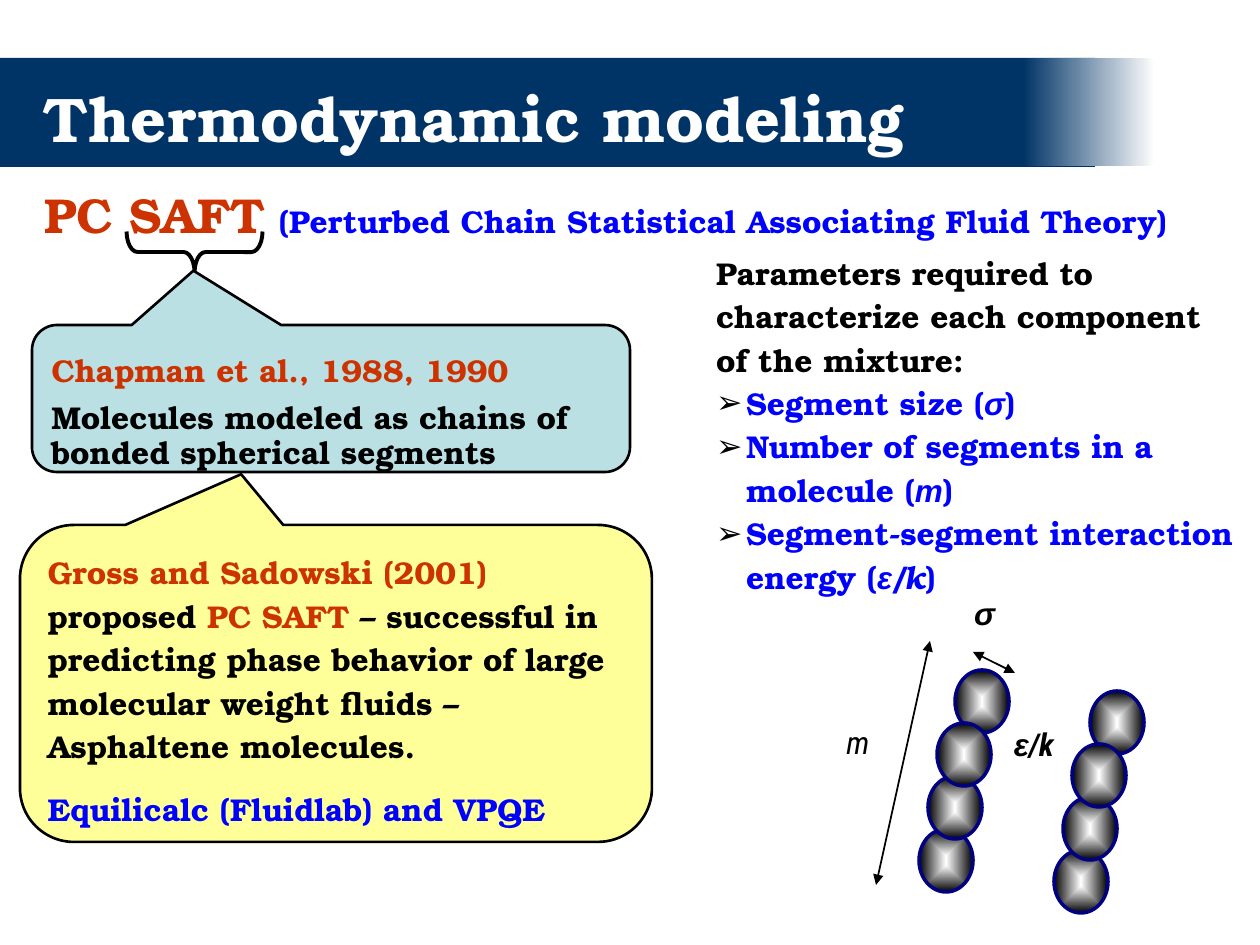
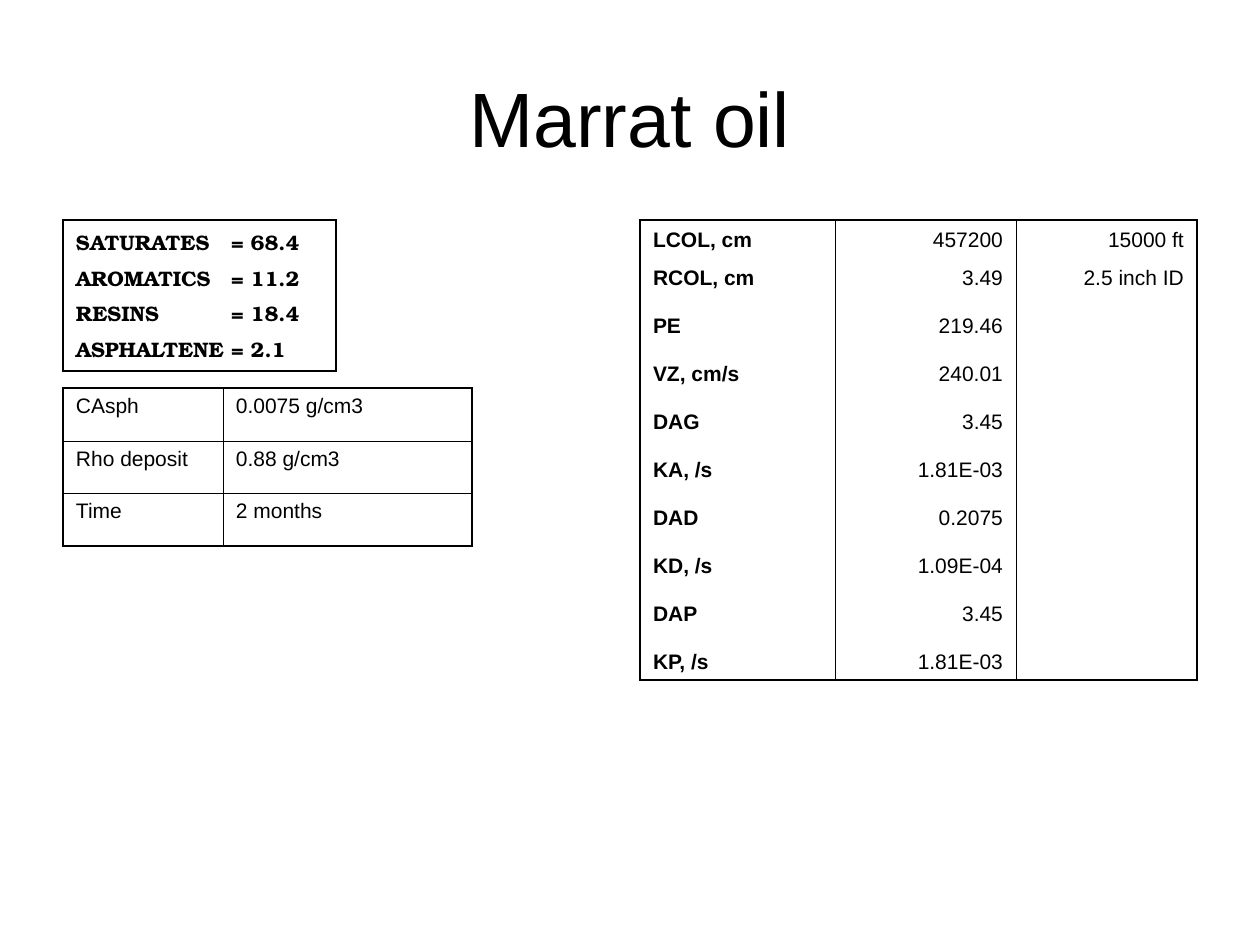
from dataclasses import dataclass

from lxml.etree import SubElement
from pptx import Presentation
from pptx.dml.color import RGBColor as RGB
from pptx.enum.shapes import MSO_CONNECTOR as CONN, MSO_SHAPE as SHAPE
from pptx.enum.text import MSO_ANCHOR as ANCHOR, PP_ALIGN as ALIGN
from pptx.oxml.ns import qn
from pptx.util import Emu, Pt

PX = 914400 / 126


@dataclass(frozen=True)
class Theme:
    navy: str = "003366"
    outline: str = "000080"
    red: str = "CC3300"
    blue: str = "0000FF"
    black: str = "000000"
    white: str = "FFFFFF"
    teal: str = "BBE0E3"
    yellow: str = "FFFF99"
    serif: str = "TeX Gyre Bonum"
    sans: str = "Arial"
    narrow: str = "Roboto Condensed"
    plain_title: int = 44
    band_title: int = 36
    lead: int = 28
    gap: int = 24
    body: int = 18
    cell: int = 12
    frame: float = 1.08
    rule: float = 0.45


T = Theme()
BODY = dict(name=T.serif, size=T.body, bold=True, color=T.black)
RED = BODY | dict(color=T.red)
BLUE = BODY | dict(color=T.blue)
BLUE_ITALIC = BLUE | dict(italic=True)
SYMBOL = dict(name=T.sans, size=T.body, bold=True, italic=True, color=T.black)
BLUE_SYMBOL = SYMBOL | dict(color=T.blue)
CELL = dict(name=T.sans, size=T.cell, bold=False, color=T.black)
CELL_BOLD = CELL | dict(bold=True)
SARA = CELL_BOLD | dict(name=T.serif)


def px(*values):
    return [Emu(round(v * PX)) for v in values]


def set_all(obj, **values):
    for key, value in values.items():
        setattr(obj, key, value)


def add_run(p, text, style):
    r = p.add_run()
    r.text = text
    values = dict(style)
    r.font.color.rgb = RGB.from_string(values.pop("color"))
    set_all(r.font, **values | dict(size=Pt(values["size"])))


def add_bullet(p, char, indent):
    pPr = p._p.get_or_add_pPr()
    pPr.set("marL", str(px(indent)[0]))
    pPr.set("indent", str(px(-indent)[0]))
    color = SubElement(pPr, qn("a:buClr"))
    SubElement(color, qn("a:srgbClr"), val=T.black)
    SubElement(pPr, qn("a:buFont"), typeface=T.sans)
    SubElement(pPr, qn("a:buChar"), char=char)


def add_tab(p, pos):
    tabs = SubElement(p._p.get_or_add_pPr(), qn("a:tabLst"))
    SubElement(tabs, qn("a:tab"), pos=str(px(pos)[0]), algn="l")


def write(tf, paragraphs, insets=(13, 6, 13, 6), wrap=True, anchor=ANCHOR.TOP):
    left, top, right, bottom = px(*insets)
    set_all(tf, word_wrap=wrap, vertical_anchor=anchor, margin_left=left,
            margin_top=top, margin_right=right, margin_bottom=bottom)
    for i, (runs, layout) in enumerate(paragraphs):
        p = tf.paragraphs[0] if i == 0 else tf.add_paragraph()
        values = dict(layout)
        bullet = values.pop("bullet", None)
        set_all(p, **dict(alignment=ALIGN.LEFT) | values)
        if bullet:
            add_bullet(p, bullet, 30)
        for text, style in runs:
            add_run(p, text, style)


def add_text(s, box, paragraphs, **options):
    tf = s.shapes.add_textbox(*px(*box)).text_frame
    write(tf, paragraphs, **options)


def add_label(s, box, text, style):
    add_text(s, box, [([(text, style)], dict(alignment=ALIGN.CENTER))],
             insets=(11, 6, 11, 6), wrap=False)


def add_shape(s, kind, box, fill=None, line=None, width=1.5, adj=()):
    sp = s.shapes.add_shape(kind, *px(*box))
    sp.shadow.inherit = False
    for i, value in enumerate(adj):
        sp.adjustments[i] = value
    if fill:
        sp.fill.solid()
        sp.fill.fore_color.rgb = RGB.from_string(fill)
    else:
        sp.fill.background()
    if line:
        sp.line.color.rgb = RGB.from_string(line)
        sp.line.width = Pt(width)
    else:
        sp.line.fill.background()
    return sp


def set_gradient(sp, start, end, from_center=False):
    sp.fill.gradient()
    sp.fill.gradient_angle = 0
    for stop, color, position in zip(sp.fill.gradient_stops, (start, end), (0, 1)):
        stop.color.rgb = RGB.from_string(color)
        stop.position = position
    if from_center:
        grad = sp._element.spPr.find(qn("a:gradFill"))
        grad.remove(grad.find(qn("a:lin")))
        shade = SubElement(grad, qn("a:path"), path="rect")
        SubElement(shade, qn("a:fillToRect"),
                   **dict.fromkeys("ltrb", "50000"))


def add_title_band(s, title):
    add_shape(s, SHAPE.RECTANGLE, (0, 58, 1095, 109), T.navy)
    fade = add_shape(s, SHAPE.RECTANGLE, (1023, 58, 132, 108), T.navy)
    set_gradient(fade, T.navy, T.white)
    style = BODY | dict(size=T.band_title, color=T.white)
    add_text(s, (31, 74, 1135, 88), [([(title, style)], {})])


def add_callout(s, box, fill, adj, paragraphs, **options):
    sp = add_shape(s, SHAPE.ROUNDED_RECTANGULAR_CALLOUT, box, fill, T.black, adj=adj)
    write(sp.text_frame, paragraphs, **options)


def add_chain(s, x, y):
    shifts = (0, -18, -27, -36)
    for i in (0, 3, 2, 1):
        bead = add_shape(s, SHAPE.OVAL, (x + shifts[i], y + 53 * i, 54, 63),
                         T.white, T.outline, 2)
        set_gradient(bead, T.white, T.black, from_center=True)


def add_double_arrow(s, *ends):
    cx = s.shapes.add_connector(CONN.STRAIGHT, *px(*ends))
    cx.line.color.rgb = RGB.from_string(T.black)
    cx.line.width = Pt(1)
    ln = cx.line._get_or_add_ln()
    for tag in ("a:headEnd", "a:tailEnd"):
        SubElement(ln, qn(tag), type="triangle")
    SubElement(cx._element.spPr, qn("a:effectLst"))


def set_borders(cell, **widths):
    tcPr = cell._tc.get_or_add_tcPr()
    for side in "LRTB":
        width = widths[side]
        ln = SubElement(tcPr, qn("a:ln" + side), w=str(Pt(width)))
        if width:
            fill = SubElement(ln, qn("a:solidFill"))
            SubElement(fill, qn("a:srgbClr"), val=T.black)
        else:
            SubElement(ln, qn("a:noFill"))


def add_table(s, x, y, cols, rows, row_rule=T.rule):
    box = px(x, y, sum(cols), sum(rows))
    table = s.shapes.add_table(len(rows), len(cols), *box).table
    set_all(table, first_row=False, horz_banding=False)
    for col, width in zip(table.columns, px(*cols)):
        col.width = width
    for row, height in zip(table.rows, px(*rows)):
        row.height = height
    last_row, last_col = len(rows) - 1, len(cols) - 1
    for i in range(len(rows)):
        for j in range(len(cols)):
            cell = table.cell(i, j)
            set_borders(cell,
                        L=T.rule if j else T.frame,
                        R=T.rule if j < last_col else T.frame,
                        T=row_rule if i else T.frame,
                        B=row_rule if i < last_row else T.frame)
            cell.fill.background()
    return table


def write_cell(cell, text, style, anchor=ANCHOR.TOP, align=ALIGN.LEFT):
    side, top = px(13, 6)
    set_all(cell, margin_left=side, margin_right=side, margin_top=top,
            margin_bottom=top, vertical_anchor=anchor)
    p = cell.text_frame.paragraphs[0]
    p.alignment = align
    if text:
        add_run(p, text, style)
    else:
        SubElement(p._p, qn("a:endParaRPr"), sz=str(style["size"] * 100))


def add_sara_table(s, fractions):
    cell = add_table(s, 63, 220, [273], [151]).cell(0, 0)
    side, top = px(13, 6)
    set_all(cell, margin_left=side, margin_right=side, margin_top=top,
            margin_bottom=top)
    tf = cell.text_frame
    for i, (name, value) in enumerate(fractions):
        p = tf.paragraphs[0] if i == 0 else tf.add_paragraph()
        if i:
            p.space_before = Pt(3)
        add_tab(p, 155)
        add_run(p, f"{name}\t= {value}", SARA)


def add_deposit_table(s, rows):
    table = add_table(s, 63, 388, [160, 249], [53, 52, 53])
    for i, row in enumerate(rows):
        for j, text in enumerate(row):
            write_cell(table.cell(i, j), text, CELL)


def add_parameter_table(s, rows):
    heights = [38] * 2 + [48] * (len(rows) - 2)
    table = add_table(s, 640, 220, [195, 181, 181], heights, row_rule=0)
    for i, row in enumerate(rows):
        for j, text in enumerate(row):
            write_cell(table.cell(i, j), text, CELL if j else CELL_BOLD,
                       ANCHOR.BOTTOM, ALIGN.RIGHT if j else ALIGN.LEFT)


def build_modeling(s):
    add_title_band(s, "Thermodynamic modeling")
    loose = dict(line_spacing=1.15)
    item = loose | dict(bullet="➢")
    add_text(s, (703, 242, 546, 360), [
        ([("Parameters required to characterize each component of the mixture:", BODY)],
         loose),
        ([("Segment size (", BLUE), ("σ", BLUE_SYMBOL), (")", BLUE)], item),
        ([("Number of segments in a molecule (", BLUE), ("m", BLUE_SYMBOL),
          (")", BLUE)], item),
        ([("Segment-segment interaction energy (", BLUE), ("ε", BLUE_SYMBOL),
          ("/k", BLUE_ITALIC), (")", BLUE)], item),
    ])

    add_chain(s, 955, 670)
    add_chain(s, 1090, 691)
    add_label(s, (963, 588, 42, 49), "σ", SYMBOL)
    add_label(s, (833, 717, 50, 49), "m", SYMBOL | dict(name=T.narrow, bold=False))
    add_double_arrow(s, 930, 641, 876, 885)
    add_double_arrow(s, 973, 652, 1015, 673)
    energy = add_shape(s, SHAPE.RECTANGLE, (1014, 725, 52, 38), T.white)
    write(energy.text_frame,
          [([("ε", SYMBOL), ("/k", SYMBOL | dict(name=T.narrow))], {})],
          insets=(0, 0, 0, 0))

    add_callout(s, (20, 525, 632, 317), T.yellow, (-0.15, -0.66, 0.17), [
        ([("Gross and Sadowski (2001)", RED), (" proposed ", BODY), ("PC SAFT", RED),
          (" – successful in predicting phase behavior of large molecular weight "
           "fluids – Asphaltene molecules.", BODY)], loose),
        ([("Equilicalc (Fluidlab) and VPQE", BLUE)],
         loose | dict(space_before=Pt(11.2))),
    ], insets=(12, 7, 12, 6))
    add_text(s, (31, 179, 1176, 72), [
        ([("PC SAFT", RED | dict(size=T.lead)), (" ", BODY | dict(size=T.gap)),
          ("(Perturbed Chain Statistical Associating Fluid Theory)", BLUE)], {}),
    ])
    brace = add_shape(s, SHAPE.RIGHT_BRACE, (174, 184, 41, 136),
                      line=T.black, width=2.25, adj=(0.27, 0.5))
    brace.rotation = 90
    add_callout(s, (32, 325, 598, 147), T.teal, (-0.23, -0.87, 0.17), [
        ([("Chapman et al., 1988, 1990", RED)], dict(line_spacing=0.6)),
        ([("Molecules modeled as chains of bonded spherical segments", BODY)],
         dict(line_spacing=0.9, space_before=Pt(9))),
    ], insets=(12, 32, 12, 32))


def build_marrat(s):
    add_text(s, (63, 38, 1134, 158),
             [([("Marrat oil", CELL | dict(size=T.plain_title))],
               dict(alignment=ALIGN.CENTER))], anchor=ANCHOR.MIDDLE)
    add_sara_table(s, [("SATURATES", "68.4"), ("AROMATICS", "11.2"),
                       ("RESINS", "18.4"), ("ASPHALTENE", "2.1")])
    add_parameter_table(s, [
        ("LCOL, cm", "457200", "15000 ft"),
        ("RCOL, cm", "3.49", "2.5 inch ID"),
        ("PE", "219.46", ""),
        ("VZ, cm/s", "240.01", ""),
        ("DAG", "3.45", ""),
        ("KA, /s", "1.81E-03", ""),
        ("DAD", "0.2075", ""),
        ("KD, /s", "1.09E-04", ""),
        ("DAP", "3.45", ""),
        ("KP, /s", "1.81E-03", ""),
    ])
    add_deposit_table(s, [("CAsph", "0.0075 g/cm3"), ("Rho deposit", "0.88 g/cm3"),
                          ("Time", "2 months")])


def main():
    prs = Presentation()
    prs.slide_width, prs.slide_height = px(1260, 945)
    for build in (build_modeling, build_marrat):
        build(prs.slides.add_slide(prs.slide_layouts[6]))
    prs.save("out.pptx")


if __name__ == "__main__":
    main()
